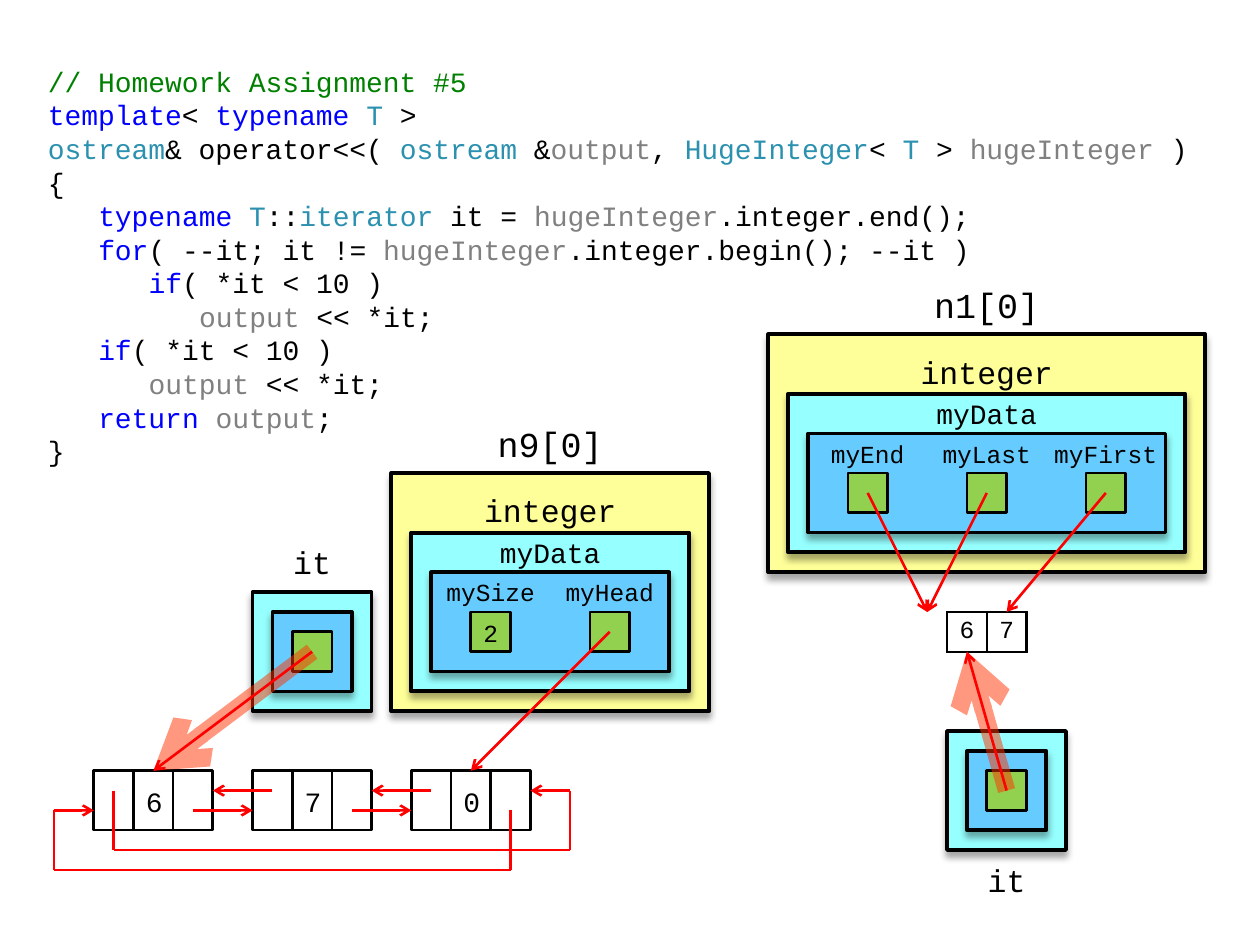
from itertools import groupby, pairwise
from lxml.etree import SubElement
from pptx import Presentation
from pptx.dml.color import RGBColor
from pptx.enum.shapes import MSO_CONNECTOR as CONN, MSO_SHAPE as SHAPE
from pptx.enum.text import MSO_ANCHOR as ANCHOR, MSO_AUTO_SIZE as AUTOSIZE, PP_ALIGN as ALIGN
from pptx.oxml.ns import qn
from pptx.util import Inches, Pt

FONT = "Courier New"
BLACK, RED, GLOW = "000000", "FF0000", "FF3300"
YELLOW, AQUA, BLUE, GREEN = "FFFF99", "96FFFF", "66CCFF", "92D050"
COMMENT, KEYWORD, TYPE, PARAM = "008000", "0000FF", "2B91AF", "808080"
WORD_COLORS = {
    **dict.fromkeys(["template", "typename", "for", "if", "return"], KEYWORD),
    **dict.fromkeys(["ostream", "HugeInteger", "T", "iterator"], TYPE),
    **dict.fromkeys(["output", "hugeInteger"], PARAM),
}
CODE = [
    (0, "// Homework Assignment #5"),
    (0, "template< typename T >"),
    (0, "ostream& operator<<( ostream &output, HugeInteger< T > hugeInteger )"),
    (0, "{"),
    (1, "typename T::iterator it = hugeInteger.integer.end();"),
    (1, "for( --it; it != hugeInteger.integer.begin(); --it )"),
    (2, "if( *it < 10 )"),
    (3, "output << *it;"),
    (1, "if( *it < 10 )"),
    (2, "output << *it;"),
    (1, "return output;"),
    (0, "}"),
]


def rgb(color):
    return RGBColor.from_string(color)


def add_run(p, text, size=14, color=BLACK):
    r = p.add_run()
    r.text = text
    r.font.name, r.font.size = FONT, Pt(size)
    r.font.color.rgb = rgb(color)


def write(tf, text, margins=(0.04, 0.05, 0.04, 0.05), **fmt):
    tf.word_wrap = True
    tf.vertical_anchor = ANCHOR.MIDDLE
    tf.margin_left, tf.margin_top, tf.margin_right, tf.margin_bottom = map(Inches, margins)
    p = tf.paragraphs[0]
    p.alignment = ALIGN.CENTER
    add_run(p, text, **fmt)


class Diagram:
    """Draws code and memory diagrams on a slide with a 4 mm grid."""

    unit, left, top = 4 / 25.4, 0.43, 2.18

    def __init__(self, prs):
        self.s = prs.slides.add_slide(prs.slide_layouts[1])
        title = self.s.shapes.title
        title.element.getparent().remove(title.element)

    def point(self, col, row):
        return Inches(self.left + col * self.unit), Inches(self.top + row * self.unit)

    def area(self, col, row, width, height):
        return *self.point(col, row), Inches(width * self.unit), Inches(height * self.unit)

    def code(self, lines):
        body = self.s.placeholders[1]
        body.left, body.top, body.width, body.height = map(Inches, (0.28, 0.44, 9.45, 3.31))
        tf = body.text_frame
        tf.auto_size, tf.word_wrap = AUTOSIZE.NONE, True
        tf.vertical_anchor = ANCHOR.TOP
        tf.margin_top = Inches(0.07)
        for i, (level, line) in enumerate(lines):
            p = tf.paragraphs[0] if i == 0 else tf.add_paragraph()
            p.line_spacing, p.space_before = Pt(19.2), Pt(0)
            pPr = p._p.get_or_add_pPr()
            pPr.set("marL", str(Inches(0.4 * level)))
            pPr.set("indent", "0")
            SubElement(pPr, qn("a:buNone"))
            if line.startswith("//"):
                add_run(p, line, size=16, color=COMMENT)
                continue
            for _, chars in groupby(line, str.isalnum):
                token = "".join(chars)
                add_run(p, token, size=16, color=WORD_COLORS.get(token, BLACK))

    def box(self, col, row, width, height, fill=None, text="", size=16):
        sp = self.s.shapes.add_shape(SHAPE.RECTANGLE, *self.area(col, row, width, height))
        sp.shadow.inherit = False
        if fill:
            sp.fill.solid()
            sp.fill.fore_color.rgb = rgb(fill)
        else:
            sp.fill.background()
        sp.line.color.rgb = rgb(BLACK)
        sp.line.width = Pt(1.5)
        if text:
            write(sp.text_frame, text, (0.1, 0.06, 0.1, 0.04), size=size)
        return sp

    def frame(self, col, row, width, height, fill, weight=2):
        sp = self.s.shapes.add_shape(SHAPE.FLOWCHART_PROCESS, *self.area(col, row, width, height))
        sp.shadow.inherit = False
        sp.fill.solid()
        sp.fill.fore_color.rgb = rgb(fill)
        sp.line.color.rgb = rgb(BLACK)
        sp.line.width = Pt(weight)
        effects = sp._element.spPr.find(qn("a:effectLst"))
        shadow = SubElement(effects, qn("a:outerShdw"), blurRad=str(Pt(4)), dist=str(Pt(3)),
                            dir="5400000", rotWithShape="0")
        color = SubElement(shadow, qn("a:srgbClr"), val=BLACK)
        SubElement(color, qn("a:alpha"), val="35000")

    def label(self, col, row, width, height, text, size, margins=(0.04, 0.05, 0.04, 0.05)):
        sp = self.s.shapes.add_textbox(*self.area(col, row, width, height))
        write(sp.text_frame, text, margins, size=size)

    def line(self, start, end, color=RED, weight=1.5, alpha=None, arrow=True, target=None):
        c = self.s.shapes.add_connector(CONN.STRAIGHT, *self.point(*start), *self.point(*end))
        if target is not None:
            c.end_connect(target, 0)
        c.line.color.rgb = rgb(color)
        c.line.width = Pt(weight)
        spPr = c._element.spPr
        ln = spPr.find(qn("a:ln"))
        if alpha:
            SubElement(ln.find(".//" + qn("a:srgbClr")), qn("a:alpha"), val=str(alpha * 1000))
        if arrow:
            SubElement(ln, qn("a:tailEnd"), type="arrow")
        SubElement(spPr, qn("a:effectLst"))

    def route(self, *points):
        steps = list(pairwise(points))
        for i, (start, end) in enumerate(steps, 1):
            self.line(start, end, arrow=i == len(steps))

    def highlight(self, start, end, target=None):
        self.line(start, end, color=GLOW, weight=10, alpha=50, target=target)
        self.line(start, end, target=target)

    def huge_integer(self, col, row, name, fields):
        width = 4 + 6 * len(fields)
        middle = col + width / 2 - 4
        self.frame(col, row, width, 12, YELLOW, 2.25)
        self.frame(col + 1, row + 3, width - 2, 8, AQUA, 2.25)
        self.frame(col + 2, row + 5, width - 4, 5, BLUE)
        self.label(middle, row - 3, 8, 3, name, 20)
        self.label(middle, row, 8, 3, "integer", 18, (0.08, 0.12, 0.08, 0))
        self.label(middle, row + 3, 8, 2, "myData", 16, (0.08, 0, 0.08, 0))
        for i, (field, value) in enumerate(fields):
            x = col + 2 + 6 * i
            self.label(x, row + 5, 6, 2, field, 14)
            self.box(x + 2, row + 7, 2, 2, GREEN, value, 14)

    def iterator(self, col, row, label_row):
        for inset, fill in enumerate((AQUA, BLUE)):
            self.frame(col + inset, row + inset, 6 - 2 * inset, 6 - 2 * inset, fill)
        self.box(col + 2, row + 2, 2, 2, GREEN)
        self.label(col + 1, label_row, 4, 3, "it", 18)

    def node(self, col, row, value):
        return [self.box(col + 2 * i, row, 2, 3, text=t) for i, t in enumerate(("", value, ""))][1]

    def array(self, col, row, values):
        size = self.area(col, row, 2 * len(values), 2)
        table = self.s.shapes.add_table(1, len(values), *size).table
        table.first_row = table.horz_banding = False
        for cell, value in zip(table.rows[0].cells, values):
            cell.fill.background()
            cell.vertical_anchor = ANCHOR.MIDDLE
            cell.margin_left = cell.margin_right = Inches(0.06)
            cell.margin_top = cell.margin_bottom = Inches(0.04)
            p = cell.text_frame.paragraphs[0]
            p.alignment = ALIGN.CENTER
            add_run(p, value)
            tcPr = cell._tc.get_or_add_tcPr()
            for i, side in enumerate(("lnL", "lnR", "lnT", "lnB")):
                ln = SubElement(tcPr, qn("a:" + side), w=str(Pt(1.5)))
                SubElement(SubElement(ln, qn("a:solidFill")), qn("a:srgbClr"), val=BLACK)
                tcPr.insert(i, ln)


def main():
    prs = Presentation()
    prs.slide_width, prs.slide_height = Inches(10), Inches(7.5)
    d = Diagram(prs)
    d.code(CODE)

    d.array(45, 17, "67")
    d.huge_integer(36, 3, "n1[0]", [("myEnd", ""), ("myLast", ""), ("myFirst", "")])
    for start, end in ((53, 48), (47, 44), (41, 44)):
        d.line((start, 11), (end, 17))
    d.iterator(45, 23, label_row=29)
    d.highlight((48, 26), (46, 19))

    d.iterator(10, 16, label_row=13)
    first, _, last = [d.node(2 + 8 * i, 25, value) for i, value in enumerate("670")]
    for col in (7, 15):
        d.line((col, 27), (col + 3, 27))
        d.line((col + 4, 26), (col + 1, 26))
    d.route((23, 27), (23, 30), (0, 30), (0, 27), (2, 27))
    d.route((3, 26), (3, 29), (26, 29), (26, 26), (24, 26))
    d.huge_integer(17, 10, "n9[0]", [("mySize", "2"), ("myHead", "")])
    d.line((28, 18), (21, 25), target=last)
    d.highlight((13, 19), (5, 25), target=first)
    prs.save("out.pptx")


if __name__ == "__main__":
    main()
